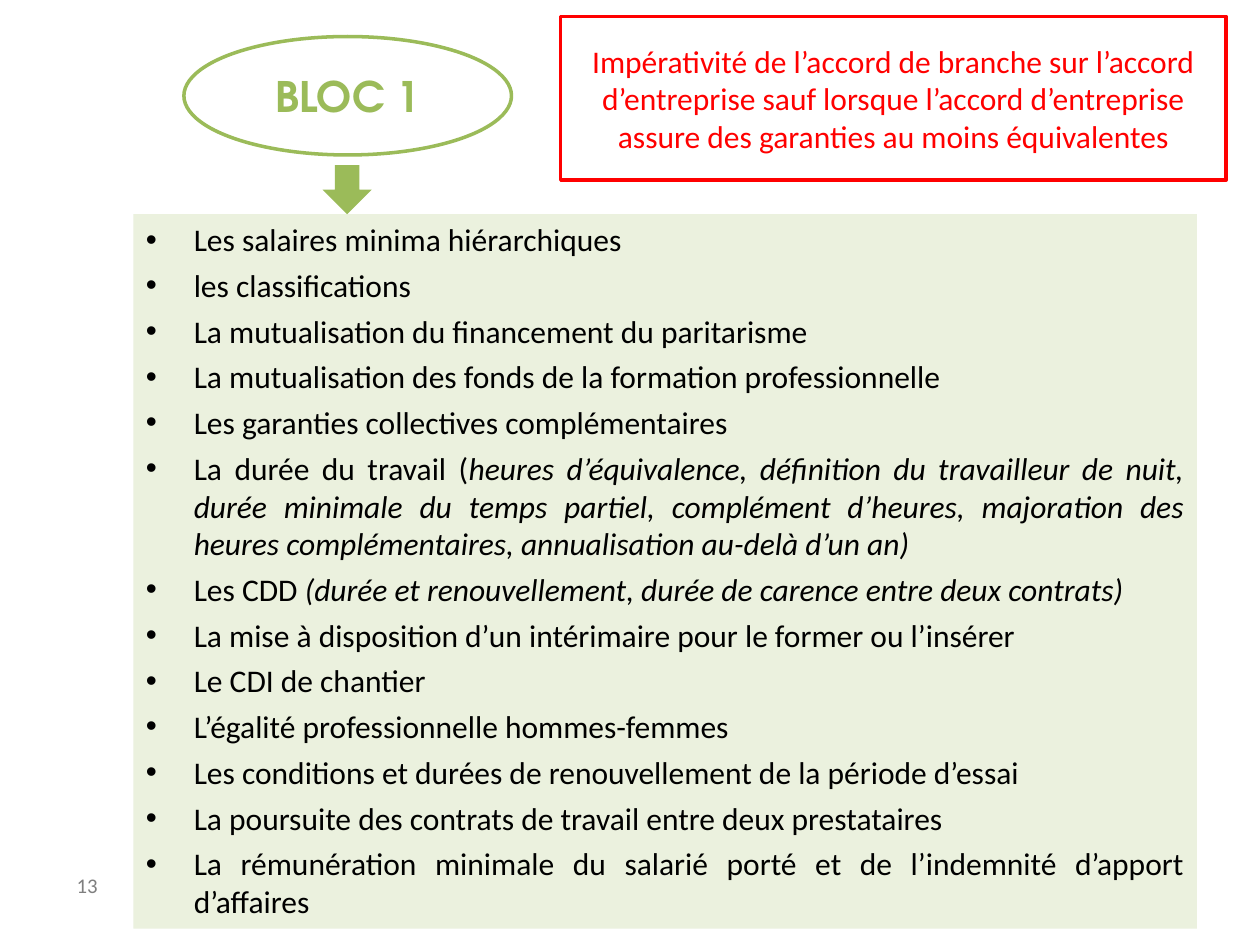
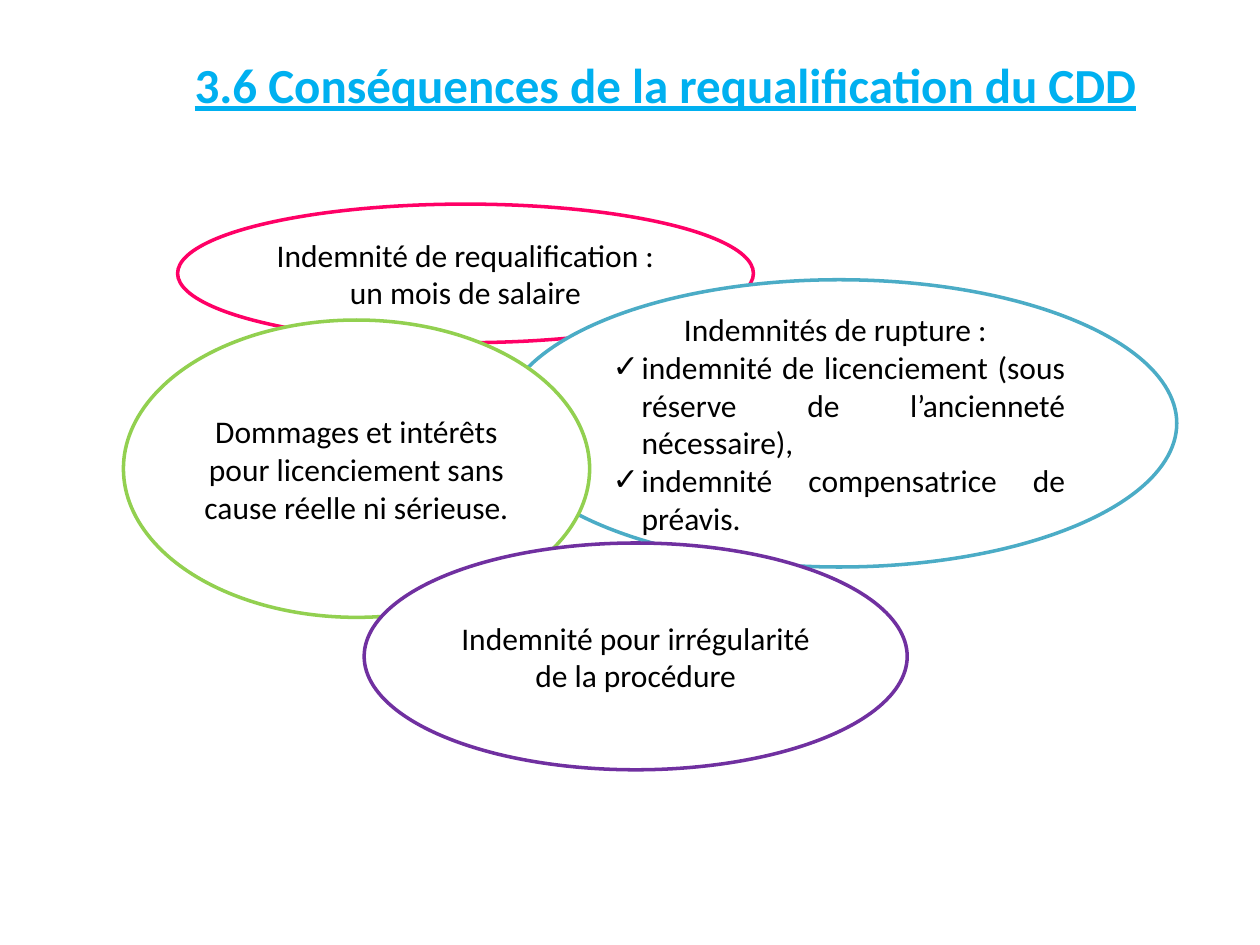
from dataclasses import dataclass
from typing import Optional

from lxml import etree
from pptx import Presentation
from pptx.dml.color import RGBColor
from pptx.enum.shapes import MSO_SHAPE
from pptx.enum.text import MSO_ANCHOR, MSO_AUTO_SIZE, PP_ALIGN
from pptx.oxml.ns import qn
from pptx.util import Inches, Pt

RECT, OVAL, ARROW = MSO_SHAPE.RECTANGLE, MSO_SHAPE.OVAL, MSO_SHAPE.DOWN_ARROW
LEFT, CENTER, JUSTIFY = PP_ALIGN.LEFT, PP_ALIGN.CENTER, PP_ALIGN.JUSTIFY
TOP, MIDDLE = MSO_ANCHOR.TOP, MSO_ANCHOR.MIDDLE
TITLE_ONLY, BLANK = 5, 6

COLORS = {
    "black": "000000", "white": "FFFFFF", "gray": "7F7F7F", "red": "FF0000",
    "green": "9BBB59", "pale": "EBF1DE", "sky": "00B0F0", "pink": "FF0066",
    "teal": "4BACC6", "lime": "92D050", "purple": "7030A0",
}
BODY, HEADING = "Calibri", "TeX Gyre Adventor"


@dataclass
class Para:
    text: str
    italic: str = ""  # closing part set in italics
    mark: str = ""  # bullet character
    indent: float = 0
    align: PP_ALIGN = CENTER
    before: float = 0
    lines: Optional[float] = None


@dataclass
class Bubble:
    box: tuple
    line: str
    paras: list


def color(name: str) -> RGBColor:
    return RGBColor.from_string(COLORS[name])


def add_mark(para, char: str, indent: float) -> None:
    """Give a paragraph a bullet with a hanging indent."""
    props = para._p.get_or_add_pPr()
    props.set("marL", str(Inches(indent)))
    props.set("indent", str(-Inches(indent)))
    tint = etree.SubElement(props, qn("a:buClr"))
    etree.SubElement(tint, qn("a:srgbClr")).set("val", COLORS["black"])
    etree.SubElement(props, qn("a:buFont")).set("typeface", "Arial")
    etree.SubElement(props, qn("a:buChar")).set("char", char)


def write(shape, paras: list, size: float = 18, font: str = BODY,
          ink: str = "black", bold: bool = False, under: bool = False,
          anchor: MSO_ANCHOR = MIDDLE) -> None:
    frame = shape.text_frame
    frame.word_wrap = True
    frame.auto_size = MSO_AUTO_SIZE.NONE
    frame.vertical_anchor = anchor
    for i, item in enumerate(paras):
        para = frame.add_paragraph() if i else frame.paragraphs[0]
        para.alignment = item.align
        para.space_before = Pt(item.before)
        if item.lines:
            para.line_spacing = item.lines
        if item.mark:
            add_mark(para, item.mark, item.indent)
        for part, slant in ((item.text, False), (item.italic, True)):
            if part:
                run = para.add_run()
                run.text = part
                face = run.font
                face.name, face.size, face.bold = font, Pt(size), bold
                face.italic, face.underline = slant, under
                face.color.rgb = color(ink)


def draw(slide, kind: MSO_SHAPE, box: tuple, fill: str = "", line: str = ""):
    shape = slide.shapes.add_shape(kind, *map(Inches, box))
    shape.shadow.inherit = False
    if fill:
        shape.fill.solid()
        shape.fill.fore_color.rgb = color(fill)
    else:
        shape.fill.background()
    if line:
        shape.line.color.rgb = color(line)
        shape.line.width = Pt(2)
    else:
        shape.line.fill.background()
    return shape


# Shared column: left edge and width of the title and the list
COL_X, COL_W = 1.06, 8.44

TOPICS = [
    ("Les salaires minima hiérarchiques",),
    ("les classifications",),
    ("La mutualisation du financement du paritarisme",),
    ("La mutualisation des fonds de la formation professionnelle",),
    ("Les garanties collectives complémentaires",),
    ("La durée du travail (",
     "heures d’équivalence, définition du travailleur de nuit, durée minimale "
     "du temps partiel, complément d’heures, majoration des heures "
     "complémentaires, annualisation au-delà d’un an)"),
    ("Les CDD ",
     "(durée et renouvellement, durée de carence entre deux contrats)"),
    ("La mise à disposition d’un intérimaire pour le former ou l’insérer",),
    ("Le CDI de chantier",),
    ("L’égalité professionnelle hommes-femmes",),
    ("Les conditions et durées de renouvellement de la période d’essai",),
    ("La poursuite des contrats de travail entre deux prestataires",),
    ("La rémunération minimale du salarié porté et de l’indemnité d’apport "
     "d’affaires",),
]


def check(text: str) -> Para:
    return Para(text, mark="✓", indent=0.23, align=JUSTIFY)


BUBBLES = [
    Bubble((1.41, 1.62, 4.57, 1.1), "pink",
           [Para("Indemnité de requalification : un mois de salaire")]),
    Bubble((3.98, 2.22, 5.36, 2.28), "teal",
           [Para("Indemnités de rupture : "),
            check("indemnité de licenciement (sous réserve de l’ancienneté "
                  "nécessaire),"),
            check("indemnité compensatrice de préavis.")]),
    Bubble((0.98, 2.54, 3.7, 2.36), "lime",
           [Para("Dommages et intérêts pour licenciement sans cause réelle "
                 "ni sérieuse. ")]),
    Bubble((2.89, 4.31, 4.31, 1.8), "purple",
           [Para("Indemnité pour irrégularité de la procédure")]),
]


def build_bloc(deck) -> None:
    slide = deck.slides.add_slide(deck.slide_layouts[BLANK])

    # List of topics
    panel = draw(slide, RECT, (COL_X, 1.7, COL_W, 5.67), fill="pale")
    write(panel, [Para(*topic, mark="•", indent=0.38, align=JUSTIFY, before=4.5)
                  for topic in TOPICS], anchor=TOP)

    # Page number
    page = slide.shapes.add_textbox(*map(Inches, (0.51, 6.9, 1.23, 0.32)))
    write(page, [Para("13", align=LEFT, lines=0.9)], size=11.9, ink="gray",
          anchor=TOP)

    # Heading, arrow and rule
    head = draw(slide, OVAL, (1.46, 0.29, 2.6, 0.94), line="green")
    write(head, [Para("BLOC 1")], size=24, font=HEADING, ink="green", bold=True)
    draw(slide, ARROW, (2.56, 1.31, 0.39, 0.39), fill="green")
    rule = draw(slide, RECT, (4.45, 0.13, 5.28, 1.3), fill="white", line="red")
    write(rule, [Para("Impérativité de l’accord de branche sur l’accord "
                      "d’entreprise sauf lorsque l’accord d’entreprise assure "
                      "des garanties au moins équivalentes")], ink="red")


def build_effects(deck) -> None:
    slide = deck.slides.add_slide(deck.slide_layouts[TITLE_ONLY])

    # Title
    title = slide.shapes.title
    title.left, title.top, title.width, title.height = map(
        Inches, (COL_X, 0.28, COL_W, 0.77))
    write(title, [Para("3.6 Conséquences de la requalification du CDD")],
          size=28, ink="sky", bold=True, under=True)

    # Overlapping bubbles, back to front
    for item in BUBBLES:
        write(draw(slide, OVAL, item.box, fill="white", line=item.line),
              item.paras)


def main() -> None:
    deck = Presentation()
    deck.slide_width, deck.slide_height = Inches(10), Inches(7.5)
    build_bloc(deck)
    build_effects(deck)
    deck.save("out.pptx")


if __name__ == "__main__":
    main()
